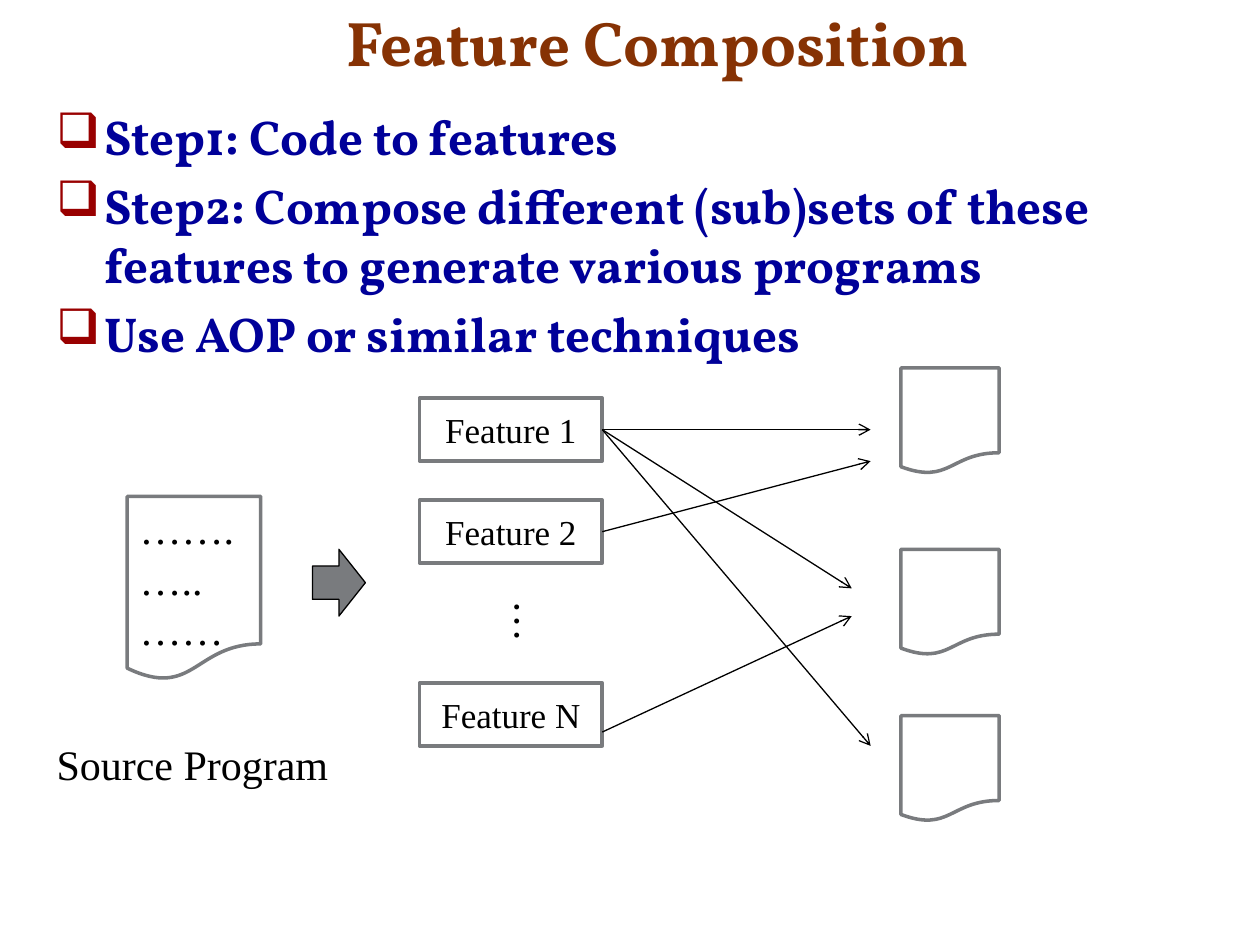
from dataclasses import dataclass
from pptx import Presentation
from pptx.dml.color import RGBColor
from pptx.enum.shapes import MSO_CONNECTOR, MSO_SHAPE
from pptx.enum.text import MSO_ANCHOR, MSO_AUTO_SIZE, PP_ALIGN
from pptx.oxml.ns import qn
from pptx.util import Inches, Pt
from lxml.etree import SubElement


@dataclass(frozen=True)
class Theme:
    """Colours, fonts and type sizes of the slide."""
    title: str = "863204"
    body: str = "000099"
    mark: str = "990000"
    gray: str = "797B7E"
    ink: str = "000000"
    paper: str = "FFFFFF"
    head: str = "Vollkorn"
    text: str = "Times New Roman"
    big: int = 36
    mid: int = 28
    note: int = 24
    small: int = 20


THEME = Theme()
WIDTH, HEIGHT = Inches(10), Inches(7.5)
COLS, ROWS = 100, 75


def grid(col, row):
    """Turn a column and a row into slide lengths."""
    return round(col * WIDTH / COLS), round(row * HEIGHT / ROWS)


def area(col, row, wide, high):
    """Turn a grid area into left, top, width and height."""
    return *grid(col, row), *grid(wide, high)


def style(frame, size, color=THEME.ink, face=THEME.text, bold=False, align=PP_ALIGN.LEFT):
    """Format all the text of a frame."""
    for para in frame.paragraphs:
        para.alignment = align
        for run in para.runs:
            font = run.font
            font.size, font.name, font.bold = Pt(size), face, bold
            font.color.rgb = RGBColor.from_string(color)


def add_title(slide, text):
    """Place and format the title."""
    title = slide.shapes.title
    title.left, title.top, title.width, title.height = area(26.5, -0.3, 72, 7.1)
    frame = title.text_frame
    frame.text = text
    frame.auto_size = MSO_AUTO_SIZE.SHAPE_TO_FIT_TEXT
    frame.vertical_anchor = MSO_ANCHOR.BOTTOM
    style(frame, THEME.big, THEME.title, THEME.head, True)


def add_list(slide, lines):
    """Add the list of steps with box bullets."""
    frame = slide.shapes.add_textbox(*area(3.5, 8, 92.3, 57)).text_frame
    frame.word_wrap = True
    frame.text = "\n".join(lines)
    for rank, para in enumerate(frame.paragraphs):
        para.space_before = Pt(5.6 if rank else 0)
        props = para._p.get_or_add_pPr()
        props.set("marL", str(Inches(0.38)))
        props.set("indent", str(-Inches(0.38)))
        tint = SubElement(props, qn("a:buClr"))
        SubElement(tint, qn("a:srgbClr"), val=THEME.mark)
        SubElement(props, qn("a:buChar"), char="❑")
    style(frame, THEME.mid, THEME.body, THEME.head, True)


def add_label(slide, text, place, upright=False):
    """Add a free label, set upright on request."""
    frame = slide.shapes.add_textbox(*place).text_frame
    frame.text = text
    frame.word_wrap = False
    frame.auto_size = MSO_AUTO_SIZE.SHAPE_TO_FIT_TEXT
    if upright:
        frame._txBody.bodyPr.set("vert", "eaVert")
    style(frame, THEME.note)


def add_form(slide, kind, place, fill=THEME.paper, line=THEME.gray, weight=2):
    """Add a filled and outlined preset shape."""
    form = slide.shapes.add_shape(kind, *place)
    form.shadow.inherit = False
    form.fill.solid()
    form.fill.fore_color.rgb = RGBColor.from_string(fill)
    form.line.color.rgb = RGBColor.from_string(line)
    form.line.width = Pt(weight)
    return form


def add_box(slide, text, row):
    """Add a feature box at a row."""
    box = add_form(slide, MSO_SHAPE.RECTANGLE, area(33.3, row, 14.5, 5))
    frame = box.text_frame
    frame.text = text
    frame.word_wrap = False
    frame.vertical_anchor = MSO_ANCHOR.MIDDLE
    style(frame, THEME.small, align=PP_ALIGN.CENTER)
    return box


def add_source(slide, lines):
    """Add the source document with its lines."""
    page = add_form(slide, MSO_SHAPE.FLOWCHART_DOCUMENT, area(10.1, 39.4, 10.6, 14.6))
    frame = page.text_frame
    frame.text = "\n".join(lines)
    frame.word_wrap = False
    frame.vertical_anchor = MSO_ANCHOR.TOP
    style(frame, THEME.note)


def add_arrow(slide, start, end, box=None):
    """Add an arrow, joined to the right side of a box if given."""
    arrow = slide.shapes.add_connector(MSO_CONNECTOR.STRAIGHT, *grid(*start), *grid(*end))
    if box is not None:
        arrow.begin_connect(box, 3)
    arrow.line.color.rgb = RGBColor.from_string(THEME.ink)
    arrow.line.width = Pt(0.75)
    SubElement(arrow.line._get_or_add_ln(), qn("a:tailEnd"), type="arrow")
    SubElement(arrow._element.spPr, qn("a:effectLst"))


def main():
    """Build and save the slide."""
    deck = Presentation()
    deck.slide_width, deck.slide_height = WIDTH, HEIGHT
    slide = deck.slides.add_slide(deck.slide_layouts[5])
    add_title(slide, "Feature Composition")
    add_list(slide, [
        "Step1: Code to features",
        "Step2: Compose different (sub)sets of these features to generate various programs",
        "Use AOP or similar techniques",
    ])
    add_source(slide, ["…….", "…..", "……"])
    add_label(slide, "Source Program", area(3.5, 58.1, 23.8, 5))
    first, second, _ = [add_box(slide, f"Feature {mark}", row)
                        for mark, row in (("1", 31.6), ("2", 39.7), ("N", 54.2))]
    add_label(slide, "…", area(38.6, 46.7, 6.1, 4.4), upright=True)
    add_form(slide, MSO_SHAPE.RIGHT_ARROW, area(24.8, 43.6, 4.2, 5.3),
             THEME.gray, THEME.ink, 0.75)
    for row in (29.2, 43.6, 56.8):
        add_form(slide, MSO_SHAPE.FLOWCHART_DOCUMENT, area(71.5, row, 7.8, 8.4))
    for row, end, box in (
        (34.1, (69.1, 34.1), first),
        (42.2, (69.1, 36.6), second),
        (34.1, (67.6, 46.7), first),
        (34.1, (69.1, 59.2), first),
        (58.1, (67.6, 48.9), None),
    ):
        add_arrow(slide, (47.8, row), end, box)
    deck.save("out.pptx")


if __name__ == "__main__":
    main()
